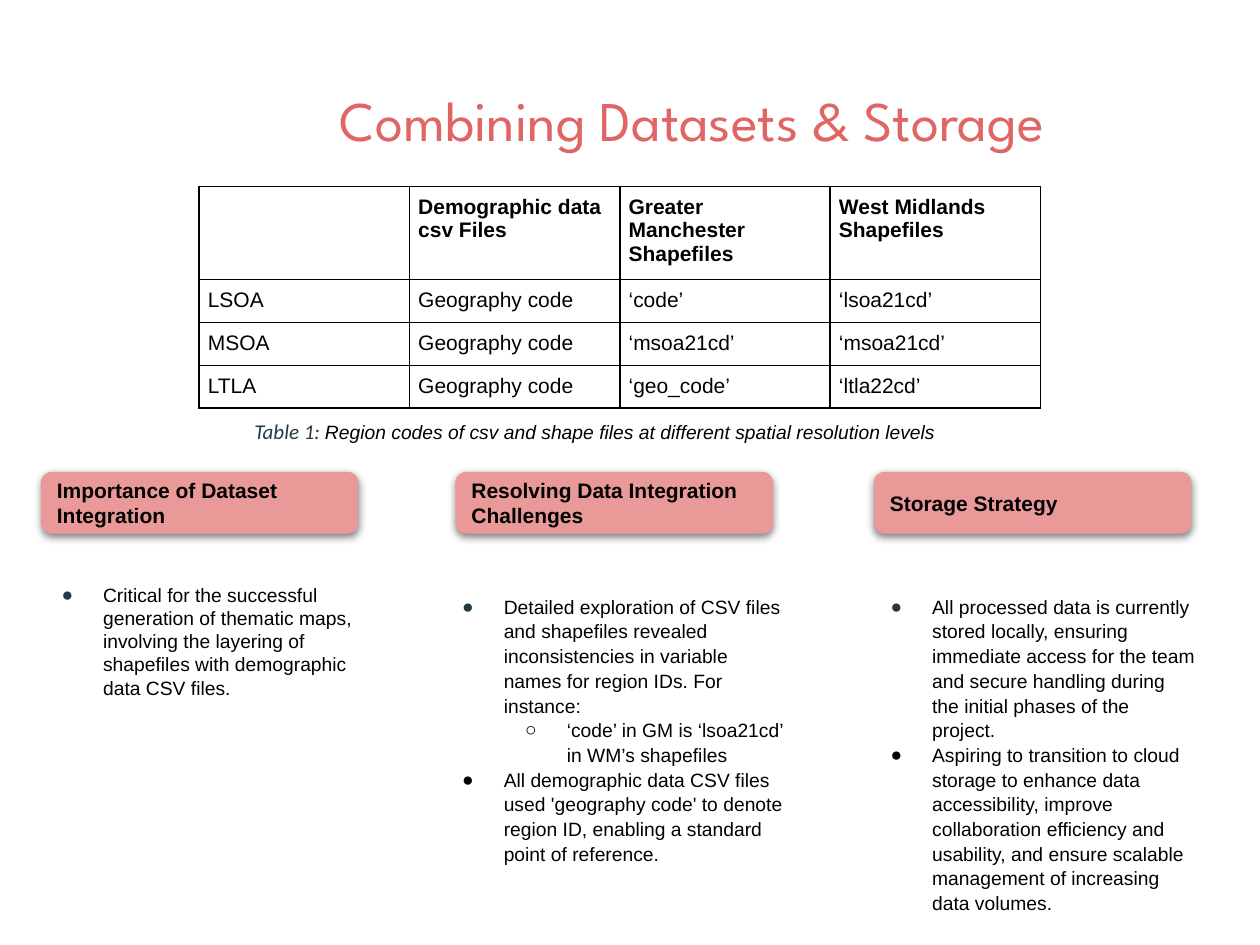
"""Build the slide on combining regional datasets and storing them."""
from lxml import etree
from pptx import Presentation
from pptx.dml.color import RGBColor
from pptx.enum.shapes import MSO_SHAPE
from pptx.enum.text import MSO_ANCHOR, PP_ALIGN
from pptx.oxml import parse_xml
from pptx.oxml.ns import qn
from pptx.util import Inches, Pt

ROUNDED = MSO_SHAPE.ROUNDED_RECTANGLE
MIDDLE, TOP, LEFT = MSO_ANCHOR.MIDDLE, MSO_ANCHOR.TOP, PP_ALIGN.LEFT
NS = 'xmlns:a="http://schemas.openxmlformats.org/drawingml/2006/main"'
BLACK, SLATE, PINK, CORAL = "000000", "233A44", "EA9999", "E06666"
SHADOW = (
    f'<a:effectLst {NS}><a:outerShdw blurRad="57150" dist="19050" dir="5400000" '
    f'algn="bl" rotWithShape="0"><a:srgbClr val="{BLACK}"><a:alpha val="50000"/>'
    "</a:srgbClr></a:outerShdw></a:effectLst>"
)
BORDER = (
    f'<a:{{}} {NS} w="12700"><a:solidFill><a:srgbClr val="{BLACK}"/></a:solidFill>'
    '<a:prstDash val="solid"/></a:{}>'
)
TITLE = {"name": "League Spartan", "size": Pt(32), "color": CORAL}
BODY = {"name": "Arial", "size": Pt(11), "color": BLACK}
CELL = {**BODY, "size": Pt(12)}
HEADING = {**CELL, "bold": True}
LABEL = {"name": "Calibri", "size": Pt(12), "color": SLATE, "italic": True}
CAPTION = {**BODY, "italic": True}


def rgb(value):
    return RGBColor.from_string(value)


def write(p, text, fmt):
    p.alignment = LEFT
    r = p.add_run()
    r.text = text
    for key, value in fmt.items():
        if key == "color":
            r.font.color.rgb = rgb(value)
        else:
            setattr(r.font, key, value)


prs = Presentation()
prs.slide_width, prs.slide_height = Inches(10), Inches(7.5)
s = prs.slides.add_slide(prs.slide_layouts[6])

captions = [
    ((2.6, 0.32, 7.64, 1.25), 0.05, MIDDLE, [("Combining Datasets & Storage", TITLE)]),
    ((1.92, 3.22, 6.17, 0.38), 0.1, TOP, [
        ("Table 1: ", LABEL),
        ("Region codes of csv and shape files at different spatial resolution levels", CAPTION),
    ]),
]
for box, inset, anchor, runs in captions:
    tf = s.shapes.add_textbox(*map(Inches, box)).text_frame
    tf.word_wrap, tf.vertical_anchor = True, anchor
    tf.margin_top = tf.margin_bottom = Inches(inset)
    for text, fmt in runs:
        write(tf.paragraphs[0], text, fmt)

rows = [
    ["", "Demographic data csv Files", "Greater Manchester Shapefiles", "West Midlands Shapefiles"],
    ["LSOA", "Geography code", "‘code’", "‘lsoa21cd’"],
    ["MSOA", "Geography code", "‘msoa21cd’", "‘msoa21cd’"],
    ["LTLA", "Geography code", "‘geo_code’", "‘ltla22cd’"],
]
heights = [0.7] + [0.325] * 3
table = s.shapes.add_table(
    4, 4, Inches(1.58), Inches(1.48), Inches(4 * 1.67), Inches(sum(heights))
).table
table.first_row = table.horz_banding = False
for col in table.columns:
    col.width = Inches(1.67)
for i, (height, texts) in enumerate(zip(heights, rows)):
    table.rows[i].height = Inches(height)
    for j, text in enumerate(texts):
        cell = table.cell(i, j)
        cell.fill.background()
        for side in ("left", "right", "top", "bottom"):
            setattr(cell, f"margin_{side}", Inches(0.07))
        tcPr = cell._tc.get_or_add_tcPr()
        for n, tag in enumerate(("lnL", "lnR", "lnT", "lnB")):
            tcPr.insert(n, parse_xml(BORDER.format(tag, tag)))
        if text:
            write(cell.text_frame.paragraphs[0], text, CELL if i else HEADING)

columns = [
    (0.33, "Importance of Dataset Integration", (0.22, 4.53, 2.74, 1.74), 1.0, [
        (0, SLATE, "Critical for the successful generation of thematic maps, involving the "
                   "layering of shapefiles with demographic data CSV files."),
    ]),
    (3.62, "Resolving Data Integration Challenges", (3.4, 4.61, 2.97, 2.87), 1.07, [
        (0, SLATE, "Detailed exploration of CSV files and shapefiles revealed inconsistencies "
                   "in variable names for region IDs. For instance:"),
        (1, BLACK, "‘code’ in GM is ‘lsoa21cd’ in WM’s shapefiles"),
        (0, BLACK, "All demographic data CSV files used 'geography code' to denote region ID, "
                   "enabling a standard point of reference."),
    ]),
    (6.94, "Storage Strategy", (6.8, 4.61, 2.8, 2.74), 1.07, [
        (0, SLATE, "All processed data is currently stored locally, ensuring immediate access "
                   "for the team and secure handling during the initial phases of the project."),
        (0, BLACK, "Aspiring to transition to cloud storage to enhance data accessibility, "
                   "improve collaboration efficiency and usability, and ensure scalable "
                   "management of increasing data volumes."),
    ]),
]
for left, heading, box, spacing, bullets in columns:
    sp = s.shapes.add_shape(ROUNDED, Inches(left), Inches(3.75), Inches(2.51), Inches(0.48))
    sp.fill.solid()
    sp.fill.fore_color.rgb = sp.line.color.rgb = rgb(PINK)
    sp.line.width = Pt(0.75)
    sp._element.spPr.append(parse_xml(SHADOW))
    body = s.shapes.add_textbox(*map(Inches, box))
    for tf, anchor in ((sp.text_frame, MIDDLE), (body.text_frame, TOP)):
        tf.word_wrap, tf.vertical_anchor = True, anchor
        for side in ("left", "right", "top", "bottom"):
            setattr(tf, f"margin_{side}", Inches(0.1))
    write(sp.text_frame.paragraphs[0], heading, HEADING)
    tf = body.text_frame
    for n, (level, color, text) in enumerate(bullets):
        p = tf.add_paragraph() if n else tf.paragraphs[0]
        p.level, p.line_spacing = level, spacing
        pPr = p._p.get_or_add_pPr()
        pPr.set("marL", str(Inches(0.5 * (level + 1))))
        pPr.set("indent", str(Inches(-0.33)))
        buClr = etree.SubElement(pPr, qn("a:buClr"))
        etree.SubElement(buClr, qn("a:srgbClr"), val=color)
        etree.SubElement(pPr, qn("a:buFont"), typeface="Arial")
        etree.SubElement(pPr, qn("a:buChar"), char="●○"[level])
        write(p, text, BODY)

prs.save("out.pptx")
